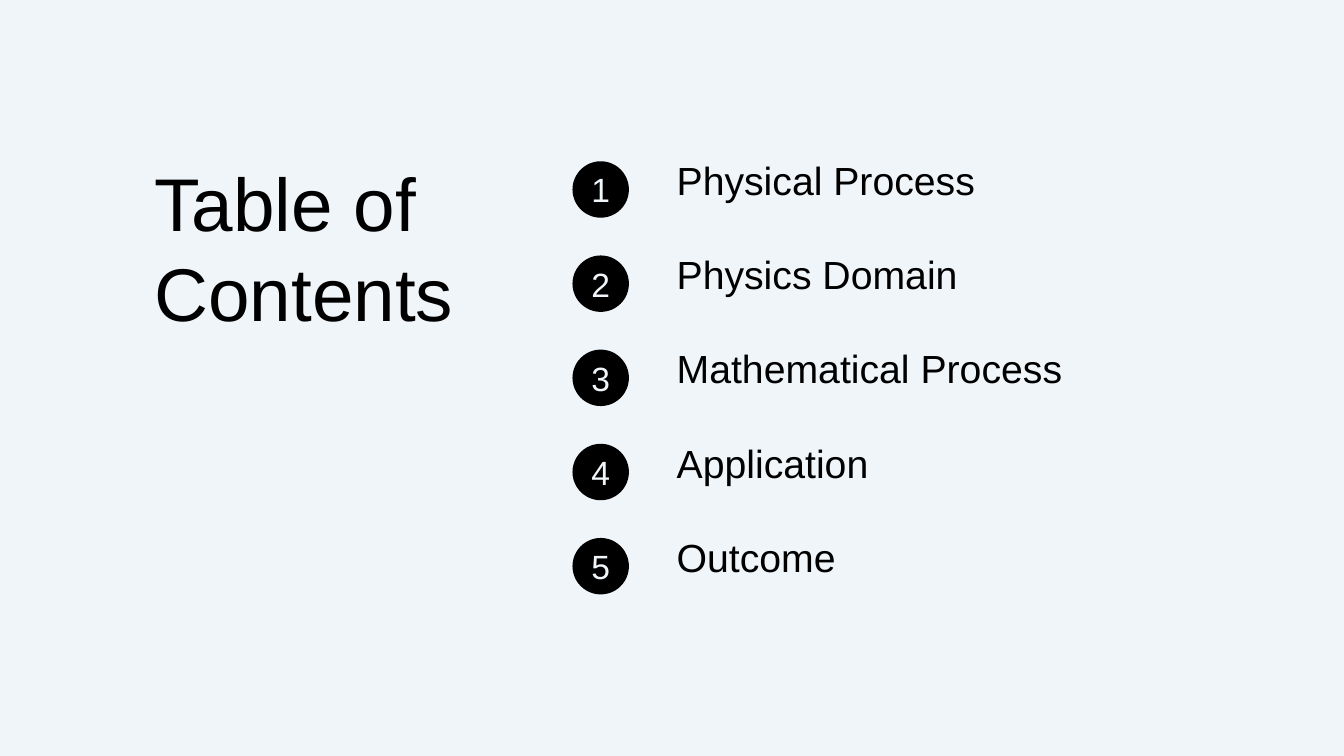
from lxml import etree
from pptx import Presentation
from pptx.dml.color import RGBColor
from pptx.enum.shapes import MSO_SHAPE
from pptx.enum.text import MSO_ANCHOR, MSO_AUTO_SIZE, PP_ALIGN
from pptx.oxml.ns import qn
from pptx.util import Pt

OVAL = MSO_SHAPE.OVAL
TOP, MIDDLE = MSO_ANCHOR.TOP, MSO_ANCHOR.MIDDLE
LEFT, CENTER = PP_ALIGN.LEFT, PP_ALIGN.CENTER
NO_AUTOFIT = MSO_AUTO_SIZE.NONE

TITLE = "Table of Contents"
CHAPTERS = [
    "Physical Process",
    "Physics Domain",
    "Mathematical Process",
    "Application",
    "Outcome",
]

THEME = {
    "font": "Arial",
    "paper": RGBColor(0xF0, 0xF5, 0xFA),
    "ink": RGBColor(0, 0, 0),
    "title_size": 80,
    "chapter_size": 42,
    "number_size": 36,
}

PAGE_WIDTH, PAGE_HEIGHT = 1440, 810
TITLE_BOX = (165.6, 168.5, 335.5, 194.4)
TITLE_LINE = 96
LIST_LEFT, LIST_TOP, LIST_WIDTH = 725, 134, 576.7
CHAPTER_LINE = 84
ROW_PITCH = 100.9
BADGE_LEFT, BADGE_TOP, BADGE_SIZE = 613.4, 172.8, 60.5


def place(shape, left, top, width, height):
    shape.left, shape.top = Pt(left), Pt(top)
    shape.width, shape.height = Pt(width), Pt(height)


def prepare_frame(shape, anchor, wrap=True):
    frame = shape.text_frame
    frame.margin_left = frame.margin_right = 0
    frame.margin_top = frame.margin_bottom = 0
    frame.vertical_anchor = anchor
    frame.auto_size = NO_AUTOFIT
    frame.word_wrap = wrap
    return frame


def write(para, text, size, color, align, line=None, after=0):
    para.alignment = align
    para.space_before, para.space_after = Pt(0), Pt(after)
    if line:
        para.line_spacing = Pt(line)
    span = para.add_run()
    span.text = text
    span.font.name = THEME["font"]
    span.font.size = Pt(size)
    span.font.color.rgb = color


def remove_bullet(para):
    properties = para._p.get_or_add_pPr()
    properties.set("marL", "0")
    properties.set("indent", "0")
    etree.SubElement(properties, qn("a:buNone"))


def add_title(page):
    box = page.shapes.title
    place(box, *TITLE_BOX)
    frame = prepare_frame(box, TOP)
    write(frame.paragraphs[0], TITLE, THEME["title_size"], THEME["ink"], LEFT, TITLE_LINE)


def add_chapters(page):
    box = page.placeholders[1]
    place(box, LIST_LEFT, LIST_TOP, LIST_WIDTH, ROW_PITCH * len(CHAPTERS))
    frame = prepare_frame(box, TOP)
    for index, chapter in enumerate(CHAPTERS):
        para = frame.add_paragraph() if index else frame.paragraphs[0]
        write(para, chapter, THEME["chapter_size"], THEME["ink"], LEFT,
              CHAPTER_LINE, ROW_PITCH - CHAPTER_LINE)
        remove_bullet(para)


def add_badge(page, index):
    top = BADGE_TOP + index * ROW_PITCH
    badge = page.shapes.add_shape(OVAL, Pt(BADGE_LEFT), Pt(top), Pt(BADGE_SIZE), Pt(BADGE_SIZE))
    badge.shadow.inherit = False
    badge.fill.solid()
    badge.fill.fore_color.rgb = THEME["ink"]
    badge.line.fill.background()
    frame = prepare_frame(badge, MIDDLE, wrap=False)
    write(frame.paragraphs[0], str(index + 1), THEME["number_size"], THEME["paper"], CENTER)


def main():
    deck = Presentation()
    deck.slide_width, deck.slide_height = Pt(PAGE_WIDTH), Pt(PAGE_HEIGHT)
    page = deck.slides.add_slide(deck.slide_layouts[1])
    page.background.fill.solid()
    page.background.fill.fore_color.rgb = THEME["paper"]
    add_title(page)
    add_chapters(page)
    for index in range(len(CHAPTERS)):
        add_badge(page, index)
    deck.save("out.pptx")


if __name__ == "__main__":
    main()
